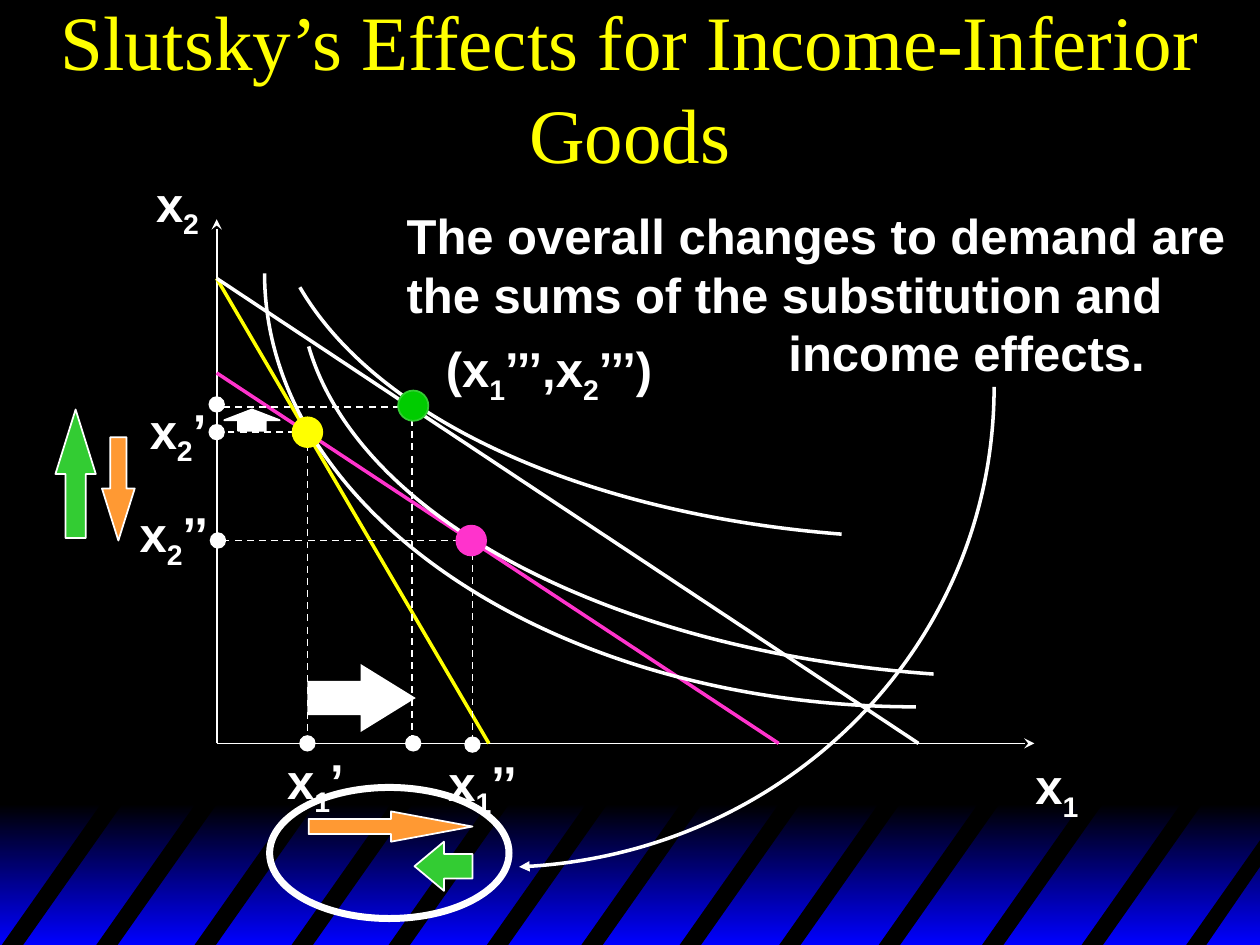
import pptx
import pptx.dml.color
import pptx.enum.dml
import pptx.enum.shapes
import pptx.enum.text
import pptx.oxml.ns
import pptx.shapes.connector
import pptx.util
from lxml import etree
from pptx.util import Inches

SHAPE = pptx.enum.shapes.MSO_SHAPE
WHITE, YELLOW, PINK, ORANGE, GREEN = "FFFFFF", "FFFF00", "FF33CC", "FF9933", "33CC33"
rgb = pptx.dml.color.RGBColor.from_string
qn = pptx.oxml.ns.qn


def paint(shape, fill=None, line=None, width=1, dash=False, head=None, tail=None):
    """Set fill, outline, dash and arrowheads, and drop the theme shadow."""
    if line:
        shape.line.color.rgb = rgb(line)
        shape.line.width = pptx.util.Pt(width)
        if dash:
            shape.line.dash_style = pptx.enum.dml.MSO_LINE.DASH
        outline = shape._element.spPr.find(qn("a:ln"))
        for tag, kind in (("a:headEnd", head), ("a:tailEnd", tail)):
            if kind:
                etree.SubElement(outline, qn(tag), type=kind)
    else:
        shape.line.fill.background()
    if isinstance(shape, pptx.shapes.connector.Connector):
        etree.SubElement(shape._element.spPr, qn("a:effectLst"))
        return
    shape.shadow.inherit = False
    if fill:
        shape.fill.solid()
        shape.fill.fore_color.rgb = rgb(fill)
    else:
        shape.fill.background()


def add_text(box, paragraphs):
    """Add a text box; digits marked with _ become subscripts."""
    frame = slide.shapes.add_textbox(*map(Inches, box)).text_frame
    frame.word_wrap = False
    frame.auto_size = pptx.enum.text.MSO_AUTO_SIZE.SHAPE_TO_FIT_TEXT
    for index, text in enumerate(paragraphs):
        paragraph = frame.add_paragraph() if index else frame.paragraphs[0]
        pieces = text.split("_")
        runs = [(pieces[0], False)]
        for piece in pieces[1:]:
            runs += [(piece[0], True), (piece[1:], False)]
        for content, subscript in runs:
            if not content:
                continue
            run = paragraph.add_run()
            run.text = content
            for name, value in LABEL_FORMAT.items():
                setattr(run.font, name, value)
            run.font.color.rgb = rgb(WHITE)
            if subscript:
                run.font._element.set("baseline", "-25000")
    return frame


LABEL_FORMAT = {"name": "Arial", "size": pptx.util.Pt(28), "bold": True}
TITLE_FORMAT = {"name": "Times New Roman", "size": pptx.util.Pt(44), "bold": False}

presentation = pptx.Presentation()
presentation.slide_width, presentation.slide_height = Inches(10), Inches(7.5)
slide = presentation.slides.add_slide(presentation.slide_layouts[5])
shapes = slide.shapes
slide.background.fill.solid()
slide.background.fill.fore_color.rgb = rgb("000000")

# Gradient band with slanted black stripes
band = shapes.add_shape(SHAPE.RECTANGLE, *map(Inches, (0, 6.38, 10.02, 1.12)))
paint(band)
band.fill.gradient()
band.fill.gradient_angle = 270
for stop, (position, color) in zip(band.fill.gradient_stops, ((0, "000000"), (1, "0000FF"))):
    stop.position = position
    stop.color.rgb = rgb(color)

stripe_lefts = [0, 0.75, 1.53, 2.3, 3.07, 3.85, 4.6, 5.38, 6.17, 6.96, 7.78, 8.57]
stripes = [[(x, 7.52), (x + 0.83, 6.34), (x + 1, 6.34), (x + 0.17, 7.52)] for x in stripe_lefts]
stripes.append([(9.4, 7.52), (10.02, 6.64), (10.02, 6.85), (9.56, 7.52)])
for corners in stripes:
    points = [(Inches(x), Inches(y)) for x, y in corners]
    builder = shapes.build_freeform(*points[0])
    builder.add_line_segments(points[1:], close=True)
    paint(builder.convert_to_shape(), "000000")

# Title
title = shapes.title
for name, value in zip(("left", "top", "width", "height"), (0, 0.02, 10, 1.33)):
    setattr(title, name, Inches(value))
title.text_frame.text = "Slutsky’s Effects for Income-Inferior Goods"
title.text_frame.word_wrap = True
title.text_frame.auto_size = pptx.enum.text.MSO_AUTO_SIZE.NONE
title.text_frame.vertical_anchor = pptx.enum.text.MSO_ANCHOR.MIDDLE
paragraph = title.text_frame.paragraphs[0]
paragraph.alignment = pptx.enum.text.PP_ALIGN.CENTER
for name, value in TITLE_FORMAT.items():
    setattr(paragraph.runs[0].font, name, value)
paragraph.runs[0].font.color.rgb = rgb(YELLOW)

# Axes, budget lines and dashed guides
axis_x, axis_y = 1.72, 5.9
guide = {"line": WHITE, "dash": True}
lines = [
    ((axis_x, 1.74, axis_x, axis_y), {"line": WHITE, "head": "stealth"}),
    ((axis_x, axis_y, 8.21, axis_y), {"line": WHITE, "tail": "stealth"}),
    ((axis_x, 2.21, 3.88, axis_y), {"line": YELLOW, "width": 2}),
    ((axis_x, 2.21, 7.29, axis_y), {"line": WHITE, "width": 2}),
    ((axis_x, 2.96, 6.18, axis_y), {"line": PINK, "width": 2}),
]
for x, y in ((2.44, 3.43), (3.75, 4.29), (3.27, 3.23)):
    lines += [((x, y, x, axis_y), guide), ((x, y, axis_x, y), guide)]
for ends, style in lines:
    connector = shapes.add_connector(pptx.enum.shapes.MSO_CONNECTOR.STRAIGHT, *map(Inches, ends))
    paint(connector, **style)

# Indifference curves and the long pointer: start, two control points, end
curves = [
    ([(7.27, 5.61), (4.42, 5.61), (2.1, 4.07), (2.1, 2.17)], None),
    ([(6.68, 4.24), (4.64, 4.08), (2.99, 3.33), (2.38, 2.28)], None),
    ([(7.41, 5.35), (4.87, 5.17), (2.85, 4.12), (2.45, 2.75)], None),
    ([(7.89, 3.07), (7.89, 5.11), (6.23, 6.79), (4.12, 6.88)], "triangle"),
]
for controls, tail in curves:
    points = [(Inches(x), Inches(y)) for x, y in controls]
    builder = shapes.build_freeform(*points[0])
    builder.add_line_segments(points[1:], close=False)
    curve = builder.convert_to_shape()
    outline = next(curve._element.iter(qn("a:path")))
    bezier = etree.SubElement(outline, qn("a:cubicBezTo"))
    for segment in outline.findall(qn("a:lnTo")):
        bezier.append(segment[0])
        outline.remove(segment)
    paint(curve, line=WHITE, width=2, tail=tail)

# Axis dots, bundles and the ring: centre, width, height, style
dots = [((x, y), 0.13, 0.13, {"fill": WHITE}) for x, y in (
    (1.72, 3.43), (1.73, 4.29), (2.44, 5.9), (3.75, 5.91), (1.72, 3.21), (3.28, 5.9))]
dots += [
    ((2.44, 3.43), 0.25, 0.25, {"fill": YELLOW}),
    ((3.28, 3.22), 0.24, 0.24, {"fill": "00CC00", "line": GREEN}),
    ((3.74, 4.29), 0.25, 0.25, {"fill": PINK}),
    ((3.09, 6.77), 1.9, 1.04, {"line": WHITE, "width": 4}),
]
for (x, y), width, height, style in dots:
    box = (x - width / 2, y - height / 2, width, height)
    paint(shapes.add_shape(SHAPE.OVAL, *map(Inches, box)), **style)

# Block arrows: kind, box, head length, fill, outline
arrows = [
    (SHAPE.DOWN_ARROW, (0.81, 3.47, 0.26, 0.82), 1.59, ORANGE, WHITE),
    (SHAPE.RIGHT_ARROW, (2.45, 6.44, 1.3, 0.24), 2.69, ORANGE, WHITE),
    (SHAPE.LEFT_ARROW, (3.29, 6.68, 0.46, 0.39), 0.6, GREEN, WHITE),
    (SHAPE.UP_ARROW, (0.44, 3.25, 0.32, 1.02), 1.6, GREEN, WHITE),
    (SHAPE.UP_ARROW, (1.78, 3.25, 0.44, 0.17), 0.5, WHITE, WHITE),
    (SHAPE.RIGHT_ARROW, (2.44, 5.27, 0.86, 0.54), 0.81, WHITE, None),
]
for kind, box, head_length, fill, line in arrows:
    arrow = shapes.add_shape(kind, *map(Inches, box))
    arrow.adjustments[0] = 0.5
    arrow.adjustments[1] = head_length
    paint(arrow, fill, line)

# Labels
labels = [
    ((1.14, 1.33, 0.54, 0.63), "x_2"),
    ((8.12, 5.95, 0.54, 0.63), "x_1"),
    ((1.09, 3.13, 0.65, 0.63), "x_2’"),
    ((1.01, 3.95, 0.76, 0.63), "x_2’’"),
    ((2.18, 5.91, 0.65, 0.63), "x_1’"),
    ((3.46, 5.92, 0.76, 0.63), "x_1’’"),
    ((3.44, 2.64, 1.9, 0.63), "(x_1’’’,x_2’’’)"),
]
for box, text in labels:
    add_text(box, [text])

# Statement, with its last line indented past the bundle label
statement = add_text((3.13, 1.58, 6.7, 1.5), [
    "The overall changes to demand are",
    "the sums of the substitution and",
    "income effects.",
])
statement.paragraphs[2]._p.get_or_add_pPr().set("marL", str(Inches(3.03)))

presentation.save("out.pptx")
